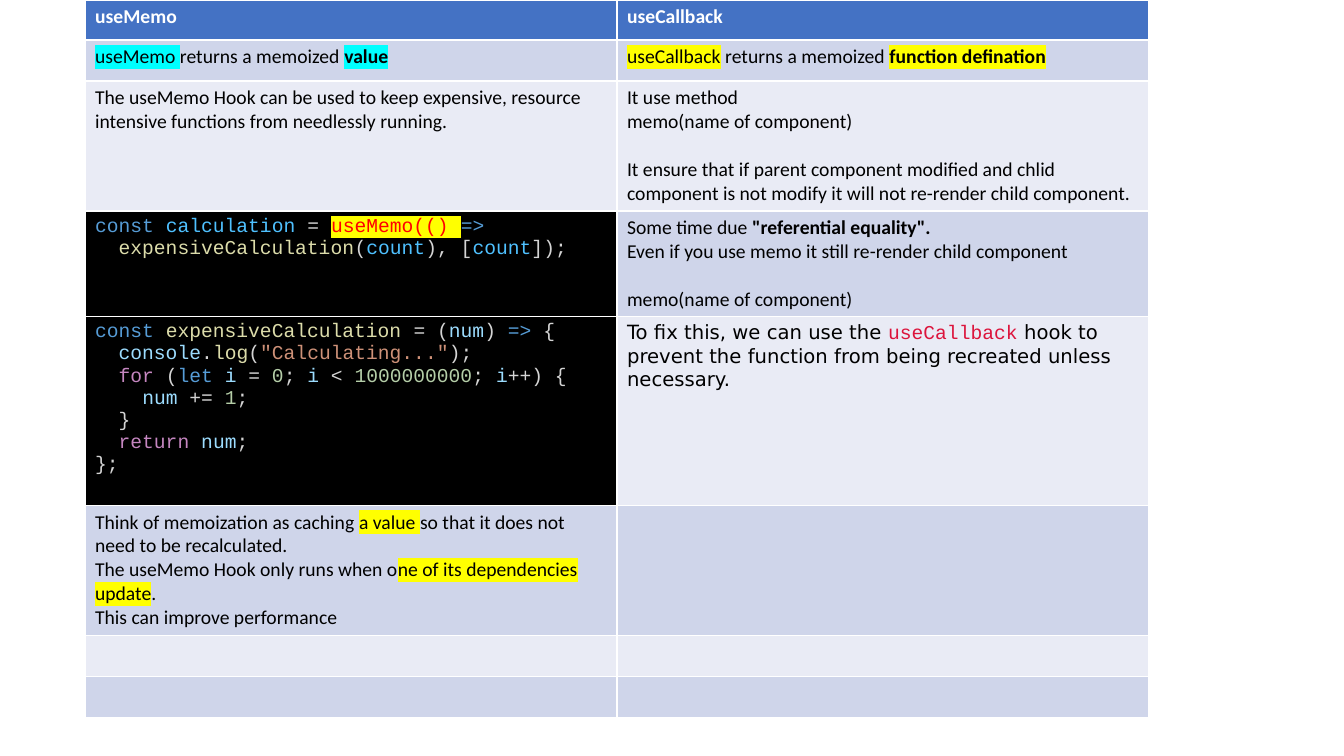
import pptx
import pptx.dml.color
import pptx.oxml.ns
import pptx.util
import lxml.etree

SCALE = 914400 / 100.8
HEX = {
    "head": "4472C4", "dark": "CFD5EA", "light": "E9EBF5", "code": "000000",
    "black": "000000", "white": "FFFFFF", "aqua": "00FFFF", "yellow": "FFFF00",
    "blue": "569CD6", "sky": "4FC1FF", "gray": "D4D4D4", "red": "FF0000",
    "cream": "DCDCAA", "pale": "9CDCFE", "rust": "CE9178", "pink": "C586C0",
    "green": "B5CEA8", "rose": "DC143C",
}
BODY, MONO, SANS = "Calibri", "Courier New", "DejaVu Sans"
SIZE = 14
GAP = 17  # points above a paragraph set apart by one line
HEIGHTS = [40, 41, 130, 105, 189, 130, 41, 40]


def px(n):
    return round(n * SCALE)


def color(name):
    return pptx.dml.color.RGBColor.from_string(HEX[name])


def run(text, tint="black", font=BODY, bold=False, mark=None):
    return text, tint, font, bold, mark


def code(*parts):
    """Pair up text and tint into one line of code."""
    return [run(text, tint, MONO) for text, tint in zip(parts[::2], parts[1::2])]


def shade(item, mark):
    """Put a highlight behind a run whose colour is already set."""
    fill = item._r.get_or_add_rPr().find(pptx.oxml.ns.qn("a:solidFill"))
    light = lxml.etree.Element(pptx.oxml.ns.qn("a:highlight"))
    lxml.etree.SubElement(light, pptx.oxml.ns.qn("a:srgbClr"), val=HEX[mark])
    fill.addnext(light)


def add_run(para, text, tint, font, bold, mark):
    item = para.add_run()
    item.text = text
    item.font.size = pptx.util.Pt(SIZE)
    item.font.bold = bold
    item.font.color.rgb = color(tint)
    if mark:
        shade(item, mark)
    item.font.name = font


def fill_cell(cell, back, lines, apart=None):
    """Write lines of runs; the line numbered apart gets a gap above."""
    cell.fill.solid()
    cell.fill.fore_color.rgb = color(back)
    for i, line in enumerate(lines):
        para = cell.text_frame.add_paragraph() if i else cell.text_frame.paragraphs[0]
        if i == apart:
            para.space_before = pptx.util.Pt(GAP)
        for part in line:
            add_run(para, *part)


def add_grid(slide, rows):
    frame = slide.shapes.add_table(
        len(rows), 2, px(85), 0, px(1064), px(sum(HEIGHTS)))
    grid = frame.table
    for col in grid.columns:
        col.width = px(532)
    for i, cells in enumerate(rows):
        grid.rows[i].height = px(HEIGHTS[i])
        for j, args in enumerate(cells):
            fill_cell(grid.cell(i, j), *args)


def get_rows():
    call = code("const ", "blue", "calculation", "sky", " = ", "gray")
    call.append(run("useMemo(() ", "red", MONO, mark="yellow"))
    call += code("=>", "blue")
    memo = [call, code("  ", "gray", "expensiveCalculation", "cream", "(", "gray",
                       "count", "sky", "), [", "gray", "count", "sky", "]);", "gray")]
    loop = [
        code("const ", "blue", "expensiveCalculation", "cream", " = (", "gray",
             "num", "pale", ") ", "gray", "=>", "blue", " {", "gray"),
        code("  ", "gray", "console", "pale", ".", "gray", "log", "cream",
             "(", "gray", '"Calculating..."', "rust", ");", "gray"),
        code("  ", "gray", "for", "pink", " (", "gray", "let ", "blue", "i", "pale",
             " = ", "gray", "0", "green", "; ", "gray", "i", "pale", " < ", "gray",
             "1000000000", "green", "; ", "gray", "i", "pale", "++) {", "gray"),
        code("    ", "gray", "num", "pale", " += ", "gray", "1", "green", ";", "gray"),
        code("  }", "gray"),
        code("  ", "gray", "return ", "pink", "num", "pale", ";", "gray"),
        code("};", "gray"),
    ]
    return [
        [("head", [[run(name, "white", bold=True)]])
         for name in ("useMemo", "useCallback")],
        [("dark", [[run("useMemo ", mark="aqua"), run("returns a memoized "),
                    run("value", bold=True, mark="aqua")]]),
         ("dark", [[run("useCallback", mark="yellow"), run(" returns a memoized "),
                    run("function defination", bold=True, mark="yellow")]])],
        [("light", [[run("The useMemo Hook can be used to keep expensive, resource "
                         "intensive functions from needlessly running.")]]),
         ("light", [[run("It use method")], [run("memo(name of component)")],
                    [run("It ensure that if parent component modified and chlid "
                         "component is not modify it will not re-render child "
                         "component.")]], 2)],
        [("code", memo),
         ("dark", [[run("Some time due "), run('"referential equality".', bold=True)],
                   [run("Even if you use memo it still re-render child component")],
                   [run("memo(name of component)")]], 2)],
        [("code", loop),
         ("light", [[run("To fix this, we can use the ", font=SANS),
                     run("useCallback", "rose", MONO),
                     run(" hook to prevent the function from being recreated "
                         "unless necessary.", font=SANS)]])],
        [("dark", [[run("Think of memoization as caching "),
                    run("a value ", mark="yellow"),
                    run("so that it does not need to be recalculated.")],
                   [run("The useMemo Hook only runs when o"),
                    run("ne of its dependencies update", mark="yellow"), run(".")],
                   [run("This can improve performance")]]),
         ("dark", [])],
        [("light", [])] * 2,
        [("dark", [])] * 2,
    ]


def main():
    deck = pptx.Presentation()
    deck.slide_width, deck.slide_height = px(1344), px(756)
    slide = deck.slides.add_slide(deck.slide_layouts[6])
    add_grid(slide, get_rows())
    deck.save("out.pptx")


if __name__ == "__main__":
    main()
